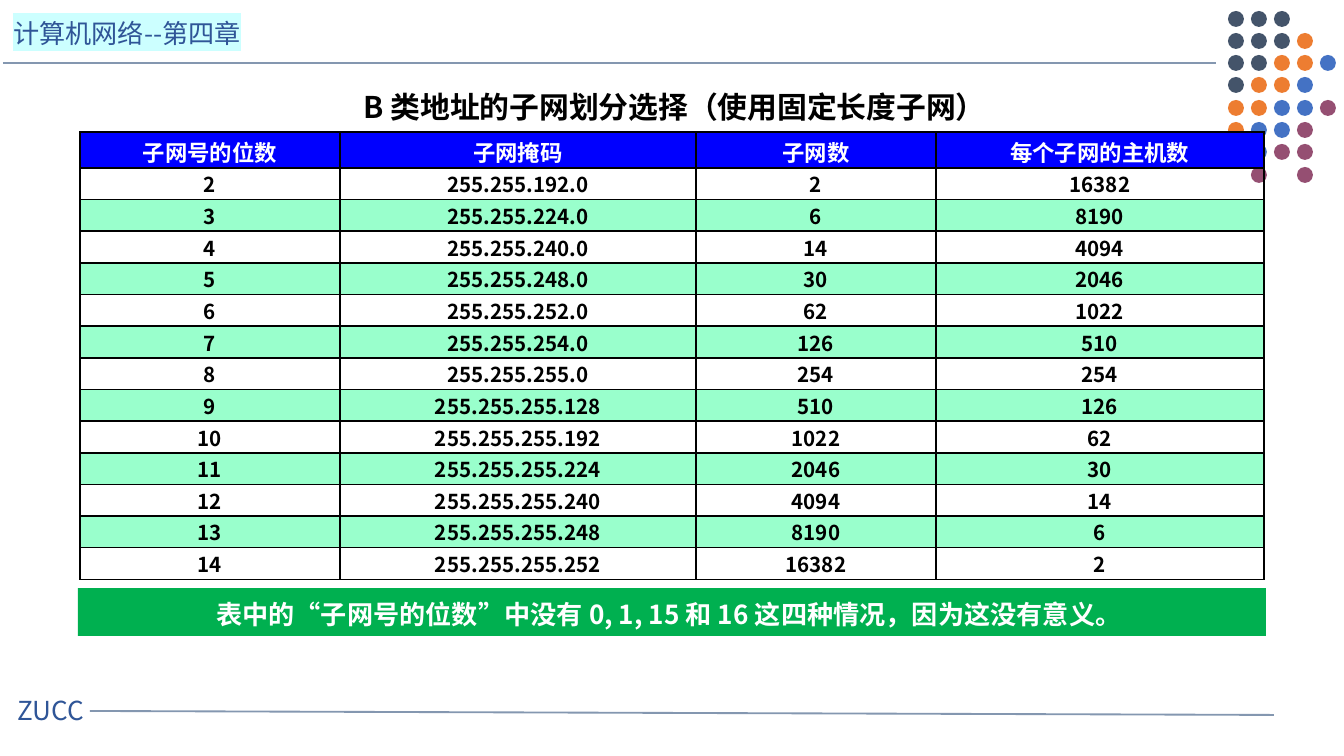
from dataclasses import dataclass

from lxml.etree import SubElement as Sub
from pptx import Presentation
from pptx.dml.color import RGBColor as RGB
from pptx.enum.shapes import MSO_CONNECTOR as Conn, MSO_SHAPE as Kind
from pptx.enum.text import MSO_ANCHOR as Anchor, PP_ALIGN as Align
from pptx.oxml.ns import qn
from pptx.util import Pt

SCALE = 914400 / 134.4  # EMU per px
FONT = "Noto Sans CJK SC"
HUES = {
    "rule": "8497B0", "label": "2F5597", "mark": "CCFFFF",
    "slate": "44546A", "orange": "ED7D31", "blue": "4472C4", "plum": "954F72",
    "head": "0000FF", "band": "99FFCC", "note": "00B050",
    "black": "000000", "white": "FFFFFF",
}


@dataclass
class Rule:
    x1: int
    y1: int
    x2: int
    y2: int


@dataclass
class Label:
    text: str
    x: int
    y: int
    w: int
    h: int
    size: int
    hue: str
    bold: bool = False
    align: Align = Align.LEFT
    mark: str = ""


RULES = [Rule(3, 63, 1216, 63), Rule(90, 711, 1274, 715)]
LABELS = [
    Label("ZUCC", 4, 688, 120, 46, 14, "label"),
    Label("计算机网络--第四章", 0, 11, 290, 46, 14, "label", mark="mark"),
    Label("B 类地址的子网划分选择（使用固定长度子网）", 339, 82, 672, 50, 16,
          "black", True, Align.CENTER),
]
NOTE = "表中的“子网号的位数”中没有 0, 1, 15 和 16 这四种情况，因为这没有意义。 "

# One letter per dot: slate, orange, blue, plum
DOTS = ["sss", "ssso", "ssoob", "soob", "oobbp", "obbp", "bbpp", " p p"]
INKS = {"s": "slate", "o": "orange", "b": "blue", "p": "plum"}

HEADS = ["子网号的位数", "子网掩码", "子网数", "每个子网的主机数"]
WIDTHS = [260, 356, 240, 328]
HEAD_H, BODY_H = 36, 412


def px(n: int) -> int:
    return round(n * SCALE)


def tint(name: str) -> RGB:
    return RGB.from_string(HUES[name])


def style(para, size: int, hue: str, bold: bool, align: Align) -> None:
    para.alignment = align
    font = para.font
    font.size, font.bold, font.name = Pt(size), bold, FONT
    font.color.rgb = tint(hue)
    props = para._p.pPr.find(qn("a:defRPr"))
    Sub(props, qn("a:ea")).set("typeface", FONT)


def add_rule(slide, rule: Rule) -> None:
    line = slide.shapes.add_connector(
        Conn.STRAIGHT, px(rule.x1), px(rule.y1), px(rule.x2), px(rule.y2))
    line.line.color.rgb = tint("rule")
    line.line.width = Pt(1)
    Sub(line._element.spPr, qn("a:effectLst"))


def add_label(slide, item: Label) -> None:
    box = slide.shapes.add_textbox(px(item.x), px(item.y), px(item.w), px(item.h))
    box.text_frame.word_wrap = True
    para = box.text_frame.paragraphs[0]
    run = para.add_run()
    run.text = item.text
    style(para, item.size, item.hue, item.bold, item.align)
    if item.mark:
        light = Sub(run._r.get_or_add_rPr(), qn("a:highlight"))
        Sub(light, qn("a:srgbClr")).set("val", HUES[item.mark])


def add_block(shapes, kind: Kind, x: int, y: int, w: int, h: int, hue: str):
    block = shapes.add_shape(kind, px(x), px(y), px(w), px(h))
    block.shadow.inherit = False
    block.fill.solid()
    block.fill.fore_color.rgb = tint(hue)
    block.line.fill.background()
    return block


def add_dots(slide) -> None:
    group = slide.shapes.add_group_shape()
    for r, row in enumerate(DOTS):
        for c, key in enumerate(row):
            if key in INKS:
                add_block(group.shapes, Kind.OVAL, 1228 + 23 * c,
                          11 + 156 * r // 7, 16, 16, INKS[key])


def subnet(bits: int) -> list[str]:
    third = 256 - 2 ** (8 - min(bits, 8))
    fourth = 256 - 2 ** (8 - max(bits - 8, 0))
    return [str(bits), f"255.255.{third}.{fourth}",
            str(2 ** bits - 2), str(2 ** (16 - bits) - 2)]


def fill_cell(cell, text: str, row: int) -> None:
    cell.margin_left = cell.margin_right = px(9)
    cell.margin_top = cell.margin_bottom = 0
    cell.vertical_anchor = Anchor.MIDDLE
    cell.text = text
    para = cell.text_frame.paragraphs[0]
    if row == 0:
        para.line_spacing = Pt(19)
        style(para, 12, "white", True, Align.CENTER)
    else:
        style(para, 11, "black", True, Align.CENTER)
    # Borders come before the fill
    props = cell._tc.get_or_add_tcPr()
    for side in ("lnL", "lnR", "lnT", "lnB"):
        edge = Sub(props, qn(f"a:{side}"), w=str(Pt(1)))
        ink = Sub(edge, qn("a:solidFill"))
        Sub(ink, qn("a:srgbClr")).set("val", HUES["black"])
    if row % 2:
        cell.fill.background()
    else:
        cell.fill.solid()
        cell.fill.fore_color.rgb = tint("band" if row else "head")


def add_grid(slide) -> None:
    rows = [HEADS] + [subnet(bits) for bits in range(2, 15)]
    table = slide.shapes.add_table(
        len(rows), len(HEADS), px(80), px(132),
        px(sum(WIDTHS)), px(HEAD_H + BODY_H)).table
    table.first_row = table.horz_banding = False
    for col, width in zip(table.columns, WIDTHS):
        col.width = px(width)
    for r, row in enumerate(rows):
        table.rows[r].height = px(BODY_H) // (len(rows) - 1) if r else px(HEAD_H)
        for c, text in enumerate(row):
            fill_cell(table.cell(r, c), text, r)


def add_note(slide) -> None:
    bar = add_block(slide.shapes, Kind.RECTANGLE, 78, 588, 1188, 48, "note")
    frame = bar.text_frame
    frame.word_wrap = True
    frame.margin_top = frame.margin_bottom = 0
    frame.vertical_anchor = Anchor.MIDDLE
    para = frame.paragraphs[0]
    para.add_run().text = NOTE
    para.line_spacing = 1.1
    style(para, 14, "white", True, Align.CENTER)


def main() -> None:
    deck = Presentation()
    deck.slide_width, deck.slide_height = px(1344), px(756)
    slide = deck.slides.add_slide(deck.slide_layouts[6])
    # Frame of the page
    for rule in RULES:
        add_rule(slide, rule)
    add_dots(slide)
    # Content
    for item in LABELS:
        add_label(slide, item)
    add_grid(slide)
    add_note(slide)
    deck.save("out.pptx")


if __name__ == "__main__":
    main()
